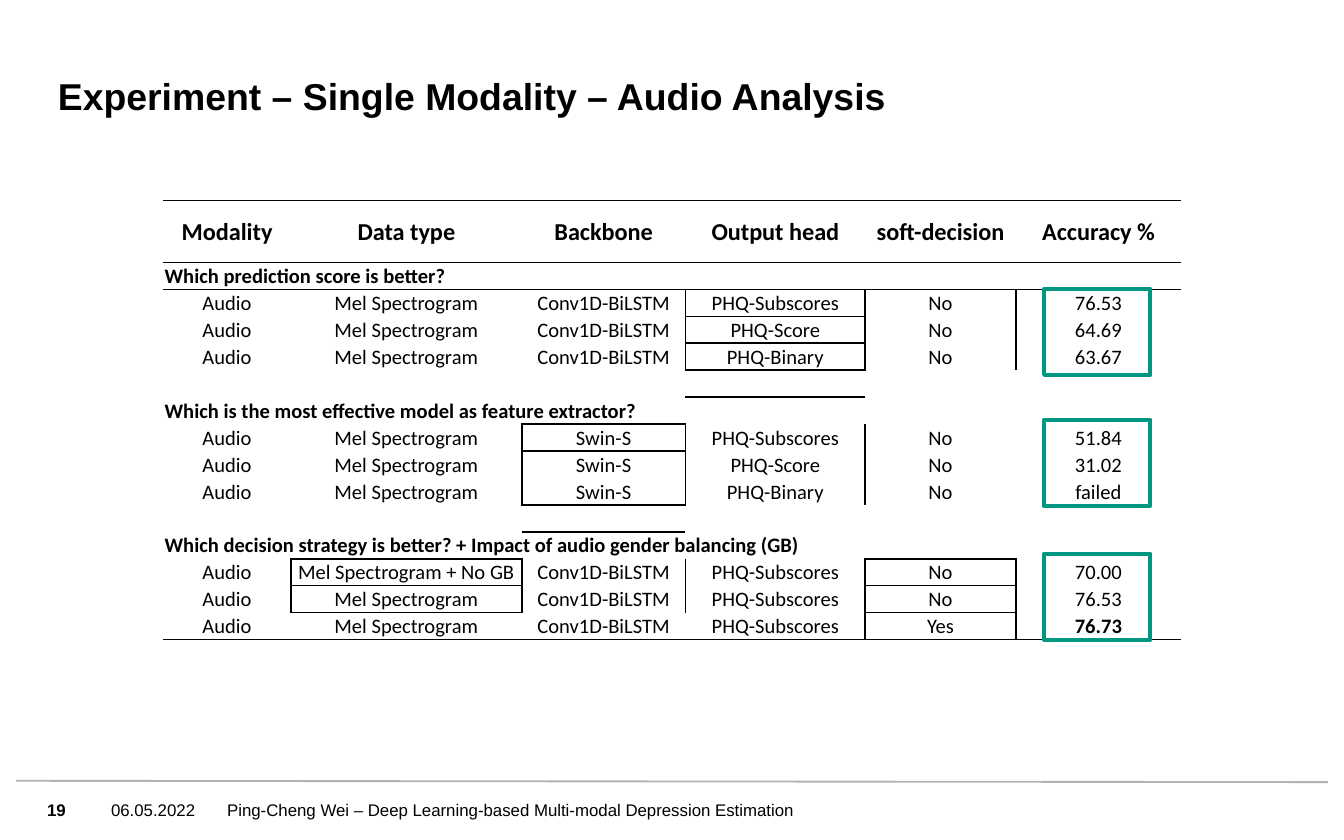
from lxml import etree
from pptx import Presentation
from pptx.dml.color import RGBColor
from pptx.enum.shapes import MSO_CONNECTOR, MSO_SHAPE
from pptx.enum.text import MSO_ANCHOR as ANCHOR, PP_ALIGN as ALIGN
from pptx.oxml.ns import qn
from pptx.util import Pt

BLACK = RGBColor(0x00, 0x00, 0x00)
GRAY = RGBColor(0xB3, 0xB3, 0xB3)
GREEN = RGBColor(0x00, 0x96, 0x82)
NO_GRID_STYLE = "{2D5ABB26-0587-4C30-8999-92F81FD0307C}"

# Table content: a one-item row is a question, an empty row is a gap
HEADER = ["Modality", "Data type", "Backbone", "Output head", "soft-decision", "Accuracy %"]
MEL, CONV, SWIN = "Mel Spectrogram", "Conv1D-BiLSTM", "Swin-S"
SUB, SCORE, BINARY = "PHQ-Subscores", "PHQ-Score", "PHQ-Binary"
ROWS = [
    HEADER,
    ["Which prediction score is better?"],
    ["Audio", MEL, CONV, SUB, "No", "76.53"],
    ["Audio", MEL, CONV, SCORE, "No", "64.69"],
    ["Audio", MEL, CONV, BINARY, "No", "63.67"],
    [],
    ["Which is the most effective model as feature extractor?"],
    ["Audio", MEL, SWIN, SUB, "No", "51.84"],
    ["Audio", MEL, SWIN, SCORE, "No", "31.02"],
    ["Audio", MEL, SWIN, BINARY, "No", "failed"],
    [],
    ["Which decision strategy is better? + Impact of audio gender balancing (GB)"],
    ["Audio", MEL + " + No GB", CONV, SUB, "No", "70.00"],
    ["Audio", MEL, CONV, SUB, "No", "76.53"],
    ["Audio", MEL, CONV, SUB, "Yes", "76.73"],
]
COL_WIDTHS = [68.3, 123.8, 87.6, 96.4, 80.6, 88.6]
HEADER_HEIGHT, ROW_HEIGHT = 33.2, 14.44
LAST = len(ROWS) - 1
# Framed cells: first row, last row, column
FRAMES = [(2, 2, 3), (3, 3, 3), (4, 4, 3), (7, 9, 2),
          (12, 12, 1), (13, 13, 1), (12, 13, 4), (14, 14, 4)]


class Deck:
    title_font, table_font = "Arial", "Calibri"

    def __init__(self, width, height):
        self.prs = Presentation()
        self.prs.slide_width, self.prs.slide_height = Pt(width), Pt(height)
        self.slide = self.prs.slides.add_slide(self.prs.slide_layouts[5])

    def style(self, p, size, font, bold=False):
        for r in p.runs:
            r.font.size, r.font.name, r.font.bold = Pt(size), font, bold
            r.font.color.rgb = BLACK

    def fill_frame(self, tf, text, size, bold, anchor):
        tf.margin_left = tf.margin_right = tf.margin_top = tf.margin_bottom = 0
        tf.word_wrap, tf.vertical_anchor = True, anchor
        tf.text = text
        tf.paragraphs[0].alignment = ALIGN.LEFT
        self.style(tf.paragraphs[0], size, self.title_font, bold)

    def title(self, text, x, y, w, h):
        sp = self.slide.shapes.title
        sp.left, sp.top, sp.width, sp.height = Pt(x), Pt(y), Pt(w), Pt(h)
        self.fill_frame(sp.text_frame, text, 20, True, ANCHOR.BOTTOM)

    def text(self, text, x, y, w, h, bold=False):
        sp = self.slide.shapes.add_textbox(Pt(x), Pt(y), Pt(w), Pt(h))
        self.fill_frame(sp.text_frame, text, 9, bold, ANCHOR.MIDDLE)

    def line(self, x1, y1, x2, y2):
        ln = self.slide.shapes.add_connector(
            MSO_CONNECTOR.STRAIGHT, Pt(x1), Pt(y1), Pt(x2), Pt(y2))
        ln.line.color.rgb, ln.line.width = GRAY, Pt(1)
        etree.SubElement(ln._element.spPr, qn("a:effectLst"))

    def outline(self, x, y, w, h):
        sp = self.slide.shapes.add_shape(MSO_SHAPE.RECTANGLE, Pt(x), Pt(y), Pt(w), Pt(h))
        sp.shadow.inherit = False
        sp.fill.background()
        sp.line.color.rgb, sp.line.width = GREEN, Pt(2.25)

    def cell(self, cell, text, size, bold, align):
        cell.margin_left = cell.margin_right = cell.margin_top = Pt(0.7)
        cell.margin_bottom = 0
        cell.vertical_anchor = ANCHOR.MIDDLE
        p = cell.text_frame.paragraphs[0]
        if text:
            p.text = text
            p.alignment = align
            self.style(p, size, self.table_font, bold)
        else:  # keep empty rows as low as the text rows
            p._p.get_or_add_endParaRPr().set("sz", str(size * 100))

    def borders(self, cell, sides):
        tc_pr = cell._tc.get_or_add_tcPr()
        for side in "LRTB":
            if side in sides:
                ln = etree.SubElement(tc_pr, qn("a:ln" + side), w=str(Pt(sides[side])))
                fill = etree.SubElement(ln, qn("a:solidFill"))
                etree.SubElement(fill, qn("a:srgbClr"), val=str(BLACK))
        cell.fill.background()

    def table(self, rows, x, y, edges):
        n_rows, n_cols = len(rows), len(COL_WIDTHS)
        height = HEADER_HEIGHT + ROW_HEIGHT * (n_rows - 1)
        tbl = self.slide.shapes.add_table(
            n_rows, n_cols, Pt(x), Pt(y), Pt(sum(COL_WIDTHS)), Pt(height)).table
        tbl.first_row = tbl.horz_banding = False
        tbl._tbl.tblPr.find(qn("a:tableStyleId")).text = NO_GRID_STYLE
        for col, width in zip(tbl.columns, COL_WIDTHS):
            col.width = Pt(width)
        for i, row in enumerate(rows):
            tbl.rows[i].height = Pt(ROW_HEIGHT if i else HEADER_HEIGHT)
            question = len(row) == 1
            if question:
                tbl.cell(i, 0).merge(tbl.cell(i, n_cols - 1))
            for j in range(n_cols):
                text = row[j] if j < len(row) else ""
                bold = i == 0 or question or (i, j) == (n_rows - 1, n_cols - 1)
                cell = tbl.cell(i, j)
                self.cell(cell, text, 11 if i else 13, bold,
                          ALIGN.LEFT if question else ALIGN.CENTER)
                self.borders(cell, edges.get((i, j), {}))


def table_edges():
    """Border widths by cell, set on both cells that share an edge."""
    edges = {}

    def put(i, j, side, width=1):
        edges.setdefault((i, j), {})[side] = width

    for j in range(len(HEADER)):
        put(0, j, "T")
        put(0, j, "B", 0.5)
        put(1, j, "T", 0.5)
        put(LAST, j, "B")
    for first, last, j in FRAMES:
        for i in range(first, last + 1):
            put(i, j, "L")
            put(i, j, "R")
            put(i, j - 1, "R")
            put(i, j + 1, "L")
        put(first, j, "T")
        put(last, j, "B")
        if len(ROWS[first - 1]) > 1:
            put(first - 1, j, "B")
        if last < LAST:
            put(last + 1, j, "T")
    return edges


def main():
    deck = Deck(720, 450)
    deck.title("Experiment – Single Modality – Audio Analysis", 31, 26.6, 544, 36.7)

    # Footer
    deck.line(8.6, 418.3, 711.4, 419)
    for text, x, w, bold in [
            ("19", 25.2, 26, True),
            ("06.05.2022", 59.5, 60, False),
            ("Ping-Cheng Wei – Deep Learning-based Multi-modal Depression Estimation",
             121.7, 374, False)]:
        deck.text(text, x, 420, w, 28, bold)

    # Results table with the accuracy groups outlined
    deck.table(ROWS, 87.5, 107.4, table_edges())
    for y in (154.8, 224.9, 296.7):
        deck.outline(559.4, y, 56.9, 46)

    deck.prs.save("out.pptx")


if __name__ == "__main__":
    main()
